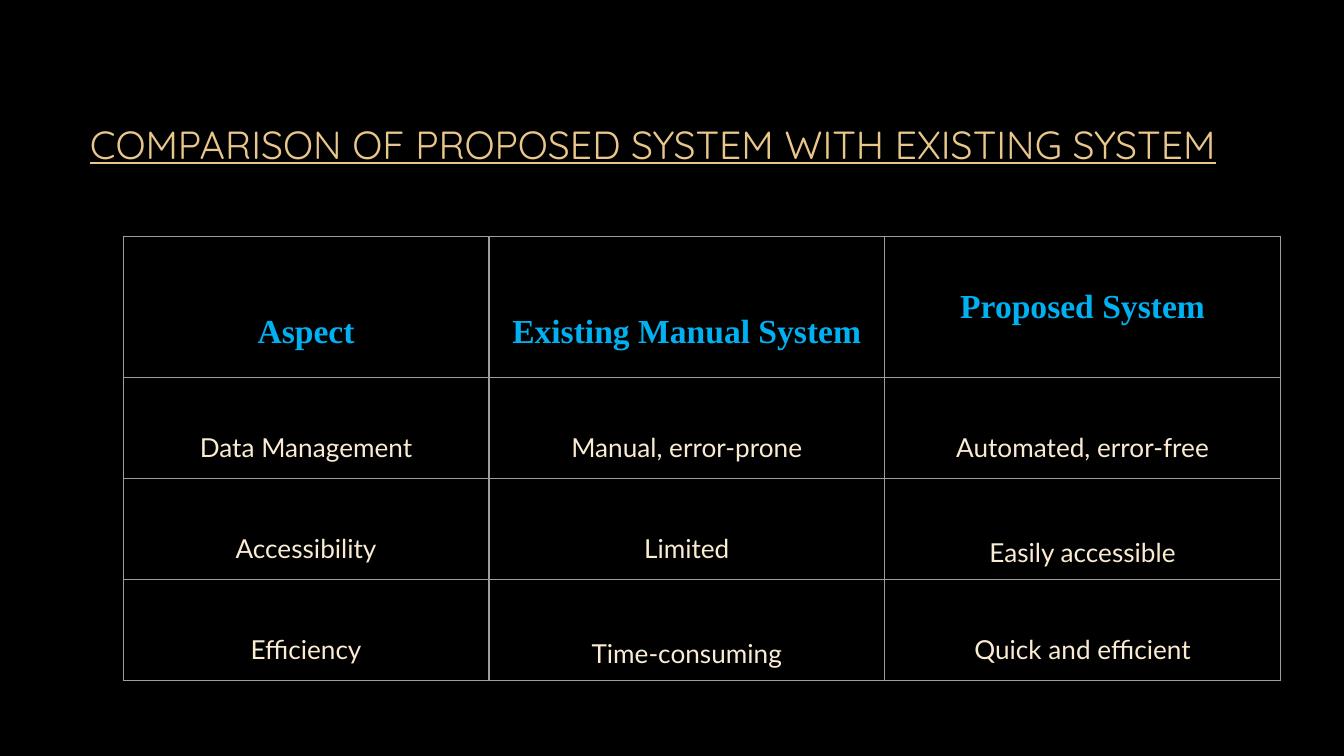
from lxml.etree import SubElement
from pptx import Presentation
from pptx.dml.color import RGBColor
from pptx.enum.text import MSO_ANCHOR as Anchor, MSO_AUTO_SIZE as AutoSize, PP_ALIGN as Align
from pptx.oxml.ns import qn
from pptx.util import Cm, Pt

COLORS = {"background": "000000", "title": "E9C78C", "header": "00B0F0",
          "body": "FAECD3", "border": "9E9E9E"}

TITLE = "COMPARISON OF PROPOSED SYSTEM WITH EXISTING SYSTEM"
ROWS = [
    ("Aspect", "Existing Manual System", "Proposed System"),
    ("Data Management", "Manual, error-prone", "Automated, error-free"),
    ("Accessibility", "Limited", "Easily accessible"),
    ("Efficiency", "Time-consuming", "Quick and efficient"),
]
CENTERED = {"Proposed System", "Easily accessible", "Time-consuming"}
SINGLE_SPACED = {"Proposed System"}

TITLE_BOX = {"left": Cm(1.45), "top": Cm(0.64), "width": Cm(22.15), "height": Cm(2.77)}
TABLE_LEFT, TABLE_TOP = Cm(2.33), Cm(4.47)
COLUMN_WIDTHS = [Cm(6.91), Cm(7.48), Cm(7.48)]
ROW_HEIGHTS = [Cm(2.67)] + [Cm(1.91)] * 3

TITLE_FONT = {"name": "Quicksand", "size": Pt(21), "bold": False, "underline": True}
HEADER_STYLE = {"font": {"name": "Times New Roman", "size": Pt(18), "bold": True},
                "color": "header", "spacing": 3.0, "margin": Cm(0.05)}
BODY_STYLE = {"font": {"name": "Lato", "size": Pt(14), "bold": False},
              "color": "body", "spacing": 2.5, "margin": Cm(0.13)}


def set_values(target, values):
    """Set each named attribute of the target."""
    for name, value in values.items():
        setattr(target, name, value)


def format_font(font, values, color):
    """Apply font values and a palette colour."""
    set_values(font, values)
    font.color.rgb = RGBColor.from_string(COLORS[color])


def add_borders(cell):
    """Draw the thin border on all four sides of a cell."""
    properties = cell._tc.get_or_add_tcPr()
    for position, side in enumerate(("lnL", "lnR", "lnT", "lnB")):
        line = SubElement(properties, qn(f"a:{side}"), w=str(Pt(0.75)))
        fill = SubElement(line, qn("a:solidFill"))
        SubElement(fill, qn("a:srgbClr"), val=COLORS["border"])
        properties.insert(position, line)


def fill_cell(cell, text, style):
    """Write and format one table cell."""
    cell.text = text
    cell.fill.background()
    add_borders(cell)
    set_values(cell, {
        "margin_top": style["margin"], "margin_bottom": style["margin"],
        "vertical_anchor": Anchor.MIDDLE if text in CENTERED else Anchor.TOP})
    paragraph = cell.text_frame.paragraphs[0]
    set_values(paragraph, {
        "alignment": Align.CENTER,
        "line_spacing": 1.0 if text in SINGLE_SPACED else style["spacing"]})
    format_font(paragraph.runs[0].font, style["font"], style["color"])


def add_title(slide):
    """Place and format the slide title."""
    title = slide.shapes.title
    set_values(title, TITLE_BOX)
    frame = title.text_frame
    frame.text = TITLE
    margins = {f"margin_{side}": Cm(0.25) for side in ("left", "top", "right", "bottom")}
    set_values(frame, {"word_wrap": True, "auto_size": AutoSize.NONE,
                       "vertical_anchor": Anchor.BOTTOM, **margins})
    paragraph = frame.paragraphs[0]
    paragraph.alignment = Align.LEFT
    format_font(paragraph.runs[0].font, TITLE_FONT, "title")


def add_comparison_table(slide):
    """Build the table that compares both systems."""
    table = slide.shapes.add_table(
        len(ROWS), len(COLUMN_WIDTHS), TABLE_LEFT, TABLE_TOP,
        sum(COLUMN_WIDTHS), sum(ROW_HEIGHTS)).table
    set_values(table, {"first_row": False, "horz_banding": False})
    for column, width in zip(table.columns, COLUMN_WIDTHS):
        column.width = width
    for index, (row, height, texts) in enumerate(zip(table.rows, ROW_HEIGHTS, ROWS)):
        row.height = height
        for cell, text in zip(row.cells, texts):
            fill_cell(cell, text, BODY_STYLE if index else HEADER_STYLE)


def main():
    """Create the presentation."""
    presentation = Presentation()
    set_values(presentation, {"slide_width": Cm(25.4), "slide_height": Cm(14.29)})
    slide = presentation.slides.add_slide(presentation.slide_layouts.get_by_name("Title Only"))
    background = slide.background.fill
    background.solid()
    background.fore_color.rgb = RGBColor.from_string(COLORS["background"])
    add_title(slide)
    add_comparison_table(slide)
    presentation.save("out.pptx")


if __name__ == "__main__":
    main()
